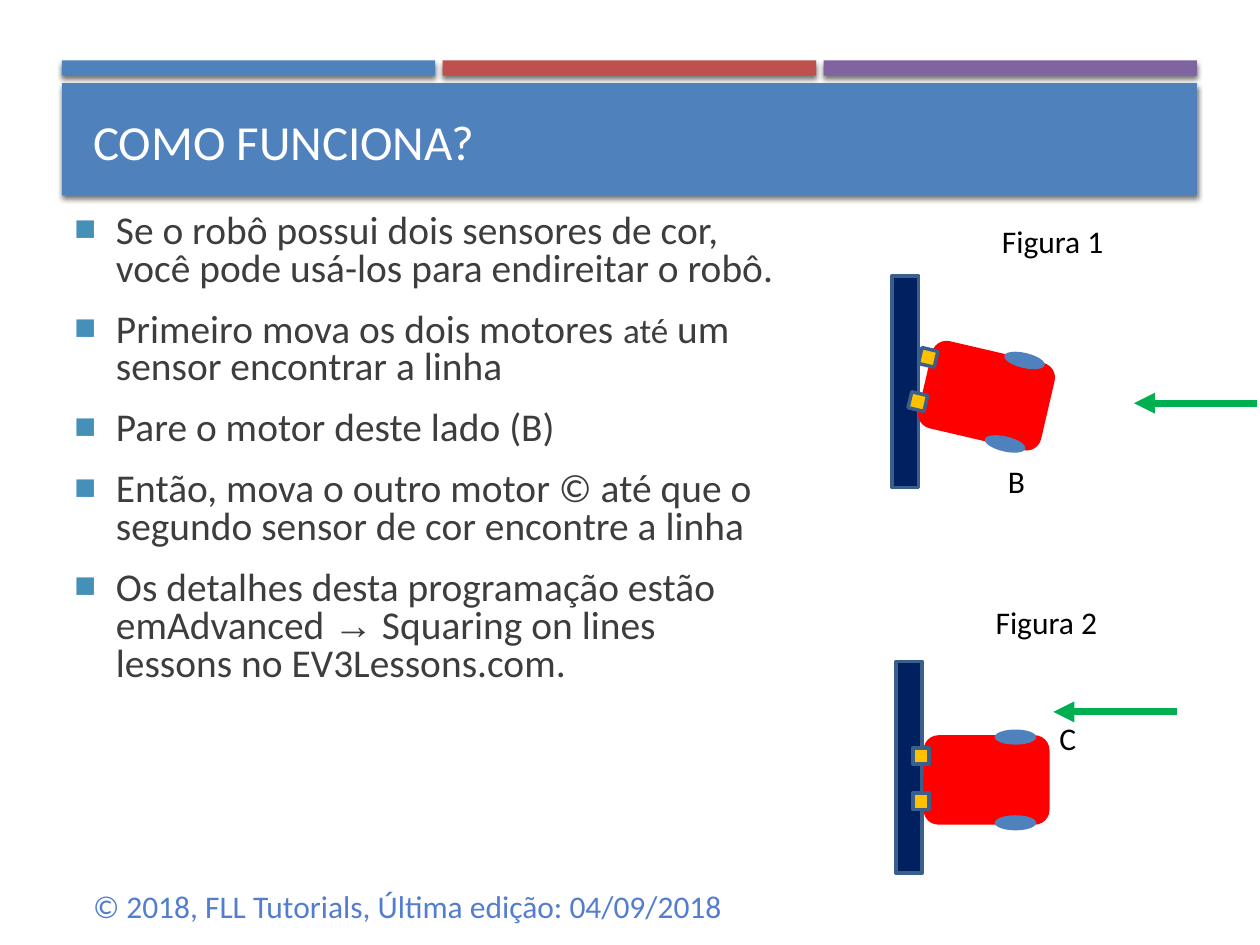
from math import cos, radians, sin

from lxml import etree
from pptx import Presentation
from pptx.dml.color import RGBColor
from pptx.enum.shapes import MSO_CONNECTOR as Connector, MSO_SHAPE as Shape
from pptx.enum.text import MSO_ANCHOR as Anchor, MSO_AUTO_SIZE as AutoSize, PP_ALIGN as Align
from pptx.oxml.ns import qn
from pptx.util import Inches, Pt

BLUE = RGBColor(0x4F, 0x81, 0xBD)
RED = RGBColor(0xC0, 0x50, 0x4D)
PURPLE = RGBColor(0x80, 0x64, 0xA2)
WHITE = RGBColor(0xFF, 0xFF, 0xFF)
BLACK = RGBColor(0x00, 0x00, 0x00)
GREY = RGBColor(0x3D, 0x3D, 0x3D)
BULLET = RGBColor(0x45, 0x90, 0xB8)
NAVY = RGBColor(0x00, 0x20, 0x60)
OUTLINE = RGBColor(0x3A, 0x5F, 0x8C)
ROBOT_RED = RGBColor(0xFF, 0x00, 0x00)
SENSOR = RGBColor(0xFF, 0xC0, 0x00)
GREEN = RGBColor(0x00, 0xB0, 0x50)
FOOTER = RGBColor(0x53, 0x7E, 0xD0)

BULLETS = [
    [("Se o robô possui dois sensores de cor, você pode usá-los para endireitar o robô.", 22.5, "Calibri")],
    [("Primeiro mova os dois motores ", 22.5, "Calibri"), ("até", 20, "Calibri"),
     (" um sensor encontrar a linha", 22.5, "Calibri")],
    [("Pare o motor deste lado (B)", 22.5, "Calibri")],
    [("Então, mova o outro motor © até que o segundo sensor de cor encontre a linha", 22.5, "Calibri")],
    [("Os detalhes desta programação estão emAdvanced ", 22.5, "Calibri"), ("→", 22.5, "Arial"),
     (" Squaring on lines lessons no EV3Lessons.com.", 22.5, "Calibri")],
]


def place(item, left, top, width, height):
    item.left, item.top = Inches(left), Inches(top)
    item.width, item.height = Inches(width), Inches(height)


def add_run(para, text, size, color, font="Calibri"):
    run = para.add_run()
    run.text = text
    run.font.size = Pt(size)
    run.font.name = font
    run.font.color.rgb = color


def add_label(page, box, text, color=BLACK, align=Align.LEFT):
    label = page.shapes.add_textbox(*map(Inches, box))
    label.text_frame.word_wrap = True
    para = label.text_frame.paragraphs[0]
    para.alignment = align
    add_run(para, text, 18, color)


def add_block(shapes, kind, box, fill, line=None):
    block = shapes.add_shape(kind, *map(Inches, box))
    block.shadow.inherit = False
    block.fill.solid()
    block.fill.fore_color.rgb = fill
    if line is None:
        block.line.fill.background()
    else:
        block.line.color.rgb = line
        block.line.width = Pt(2)
    return block


def add_band(page, box, fill):
    band = add_block(page.shapes, Shape.RECTANGLE, box, fill)
    effects = band.element.spPr.find(qn("a:effectLst"))
    shadow = etree.SubElement(effects, qn("a:outerShdw"), blurRad=str(Pt(3)),
                              dist=str(Pt(2)), dir="5400000", rotWithShape="0")
    color = etree.SubElement(shadow, qn("a:srgbClr"), val=str(BLACK))
    etree.SubElement(color, qn("a:alpha"), val="55000")


def add_header(page, left, top, width):
    gap = 0.06
    bar = (width - 2 * gap) / 3
    for index, fill in enumerate((BLUE, RED, PURPLE)):
        add_band(page, (left + index * (bar + gap), top, bar, 0.12), fill)
    add_band(page, (left, top + 0.18, width, 0.89), BLUE)

    title = page.shapes.title
    title.element.getparent().append(title.element)
    place(title, left + 0.15, top + 0.27, width - 0.27, 0.65)
    frame = title.text_frame
    frame.auto_size = AutoSize.NONE
    frame.vertical_anchor = Anchor.BOTTOM
    para = frame.paragraphs[0]
    para.alignment = Align.LEFT
    add_run(para, "COMO FUNCIONA?", 28, WHITE)


def add_bullet(para):
    props = para._p.get_or_add_pPr()
    props.set("marL", str(Inches(0.33)))
    props.set("indent", str(Inches(-0.33)))
    color = etree.SubElement(props, qn("a:buClr"))
    etree.SubElement(color, qn("a:srgbClr"), val=str(BULLET))
    etree.SubElement(props, qn("a:buSzPct"), val="92000")
    etree.SubElement(props, qn("a:buFont"), typeface="Arial")
    etree.SubElement(props, qn("a:buChar"), char="■")


def add_body(page, left, top, width, height):
    body = page.placeholders[1]
    place(body, left, top, width, height)
    frame = body.text_frame
    frame.auto_size = AutoSize.NONE
    for index, runs in enumerate(BULLETS):
        para = frame.add_paragraph() if index else frame.paragraphs[0]
        add_bullet(para)
        para.line_spacing = 0.8
        para.space_before = Pt(7.2 if index else 0)
        para.space_after = Pt(6)
        for text, size, font in runs:
            add_run(para, text, size, GREY, font)


def add_robot(page, center_x, center_y, tilt):
    robot = page.shapes.add_group_shape()
    turn = radians(tilt)

    def add_part(kind, across, down, width, height, angle, fill, line=None):
        x = center_x + across * cos(turn) - down * sin(turn)
        y = center_y + across * sin(turn) + down * cos(turn)
        part = add_block(robot.shapes, kind, (x - width / 2, y - height / 2, width, height), fill, line)
        part.rotation = angle + tilt

    add_part(Shape.ROUNDED_RECTANGLE, 0, 0, 0.71, 1, 270, ROBOT_RED)
    for down in (0.34, -0.34):
        add_part(Shape.OVAL, 0.23, down, 0.12, 0.33, 270, BLUE)
    for down in (0.17, -0.19):
        add_part(Shape.RECTANGLE, -0.52, down, 0.13, 0.13, 0, SENSOR, OUTLINE)


def add_arrow(page, tip, y):
    arrow = page.shapes.add_connector(Connector.STRAIGHT, Inches(tip + 0.98), Inches(y), Inches(tip), Inches(y))
    arrow.line.color.rgb = GREEN
    arrow.line.width = Pt(4)
    etree.SubElement(arrow.line._get_or_add_ln(), qn("a:tailEnd"), type="triangle")
    etree.SubElement(arrow.element.spPr, qn("a:effectLst"))


def add_figure(page, wall, caption, robot, tilt, motor, arrow):
    add_block(page.shapes, Shape.RECTANGLE, (*wall, 0.21, 1.68), NAVY, OUTLINE)
    caption_text, *caption_spot = caption
    add_label(page, (*caption_spot, 1.13, 0.4), caption_text, align=Align.CENTER)
    add_robot(page, *robot, tilt)
    motor_text, *motor_spot = motor
    add_label(page, (*motor_spot, 0.25, 0.4), motor_text)
    add_arrow(page, *arrow)


def main():
    deck = Presentation()
    deck.slide_width, deck.slide_height = Inches(10), Inches(7.5)
    page = deck.slides.add_slide(deck.slide_layouts[1])
    add_header(page, 0.49, 0.48, 9.01)
    add_body(page, 0.49, 1.65, 5.78, 4.76)
    add_figure(page, (7.08, 2.19), ("Figura 1", 7.79, 1.71), (7.83, 3.14), 13.1,
               ("B", 7.9, 3.62), (9, 3.2))
    add_figure(page, (7.11, 5.25), ("Figura 2", 7.74, 4.74), (7.83, 6.19), 0,
               ("C", 8.31, 5.66), (8.36, 5.65))
    add_label(page, (0.64, 6.99, 5.9, 0.4), "© 2018, FLL Tutorials, Última edição: 04/09/2018", FOOTER)
    deck.save("out.pptx")


if __name__ == "__main__":
    main()
